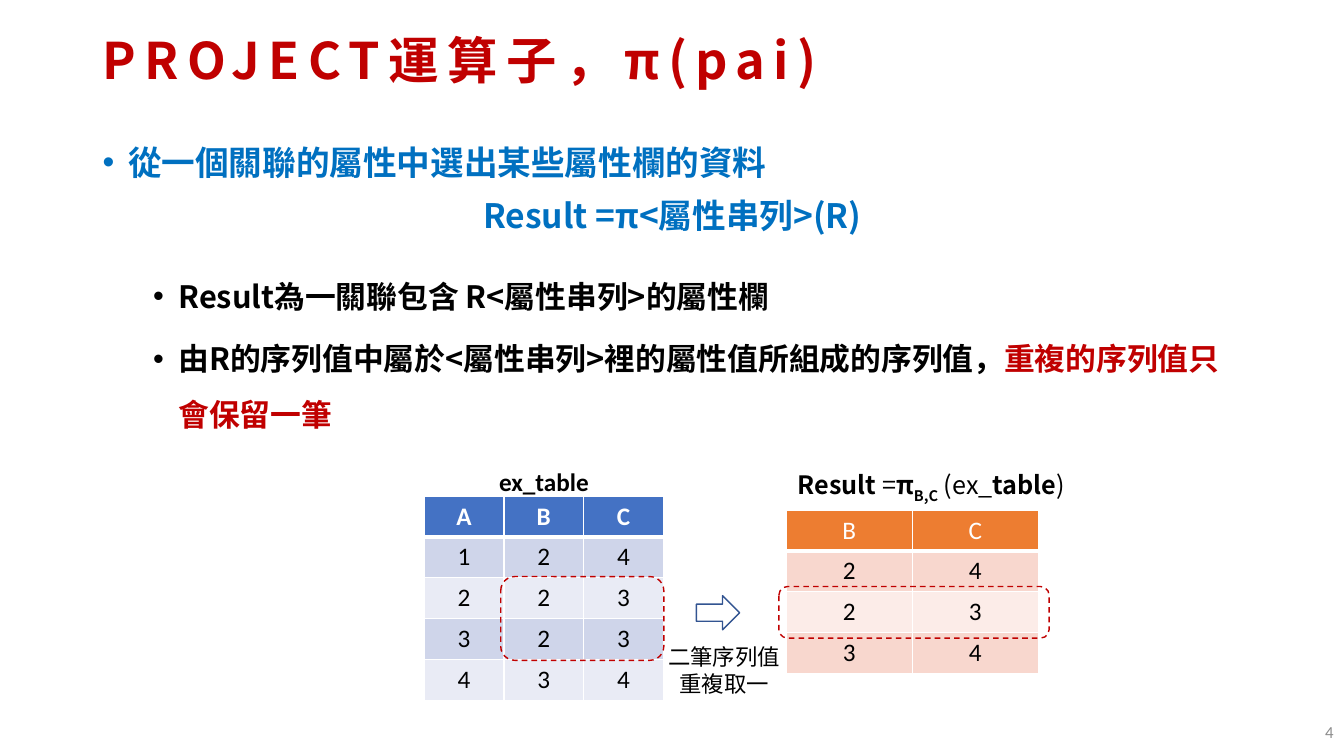
from dataclasses import dataclass, field
from typing import Any

from lxml import etree
from pptx import Presentation
from pptx.dml import color as dml
from pptx.enum import dml as lines, shapes, text
from pptx.oxml import ns
from pptx import util as u

MID = text.PP_ALIGN.CENTER
KIND = shapes.MSO_SHAPE


@dataclass(frozen=True)
class Theme:
    cjk: str = "Noto Sans CJK SC"
    latin: str = "Calibri"
    red: str = "C00000"
    blue: str = "0070C0"
    black: str = "000000"
    white: str = "FFFFFF"
    gray: str = "8C8C8C"
    navy: str = "325491"
    cool: tuple[str, ...] = ("4472C4", "CFD5EA", "E9EBF5")
    warm: tuple[str, ...] = ("ED7D31", "F8D7CE", "FCECE8")
    title: int = 36
    lead: int = 24
    point: int = 22
    label: int = 18
    note: int = 16
    page: int = 12


LOOK = Theme()


@dataclass(frozen=True)
class Run:
    words: str
    size: int
    tint: str = LOOK.black
    bold: bool = False
    face: str = LOOK.cjk
    extra: dict[str, str] = field(default_factory=dict)


@dataclass(frozen=True)
class Para:
    runs: list[Run]
    form: dict[str, Any] = field(default_factory=dict)
    left: float = 0
    dot: bool = False


@dataclass(frozen=True)
class Block:
    area: tuple[float, float, float, float]
    paras: list[Para]
    anchor: Any = text.MSO_ANCHOR.TOP
    wrap: bool = True


@dataclass(frozen=True)
class Grid:
    left: float
    top: float
    wide: float
    high: float
    rows: list[str]
    fills: tuple[str, ...]
    bold: bool


@dataclass(frozen=True)
class Mark:
    kind: Any
    area: tuple[float, float, float, float]
    tint: str
    dash: Any = None


def apply(item: Any, form: dict[str, Any]) -> None:
    for name, value in form.items():
        setattr(item, name, value)


def write(para: Any, plan: Para) -> None:
    props = para._p.get_or_add_pPr()
    if plan.left:
        props.set("marL", str(u.Cm(plan.left)))
        props.set("indent", str(-u.Cm(0.64) if plan.dot else 0))
    if plan.dot:
        etree.SubElement(props, ns.qn("a:buFont"), typeface="Arial")
        etree.SubElement(props, ns.qn("a:buChar"), char="•")
    apply(para, plan.form)
    for part in plan.runs:
        run = para.add_run()
        run.text = part.words
        apply(run.font, {"size": u.Pt(part.size), "bold": part.bold, "name": part.face})
        run.font.color.rgb = dml.RGBColor.from_string(part.tint)
        node = run._r.get_or_add_rPr()
        etree.SubElement(node, ns.qn("a:ea"), typeface=part.face)
        for key, value in part.extra.items():
            node.set(key, value)


def add_block(slide: Any, block: Block) -> None:
    frame = slide.shapes.add_textbox(*map(u.Cm, block.area)).text_frame
    apply(frame, {"word_wrap": block.wrap, "vertical_anchor": block.anchor})
    for num, plan in enumerate(block.paras):
        write(frame.add_paragraph() if num else frame.paragraphs[0], plan)


def add_edge(cell: Any, side: str, width: int) -> None:
    props = cell._tc.get_or_add_tcPr()
    edge = etree.SubElement(props, ns.qn(f"a:ln{side}"), w=str(u.Pt(width)))
    fill = etree.SubElement(edge, ns.qn("a:solidFill"))
    etree.SubElement(fill, ns.qn("a:srgbClr"), val=LOOK.white)


def add_grid(slide: Any, grid: Grid) -> None:
    count, span = len(grid.rows), len(grid.rows[0])
    size = (grid.left, grid.top, grid.wide * span, grid.high * count)
    table = slide.shapes.add_table(count, span, *map(u.Cm, size)).table
    for col in table.columns:
        col.width = u.Cm(grid.wide)
    for r, words in enumerate(grid.rows):
        table.rows[r].height = u.Cm(grid.high)
        head = r == 0
        tint = LOOK.white if head else LOOK.black
        shade = grid.fills[0 if head else 2 - r % 2]
        for c, word in enumerate(words):
            cell = table.cell(r, c)
            for side in "LRTB":
                thick = (head and side == "B") or (r == 1 and side == "T")
                add_edge(cell, side, 3 if thick else 1)
            cell.fill.solid()
            cell.fill.fore_color.rgb = dml.RGBColor.from_string(shade)
            run = Run(word, LOOK.label, tint, head and grid.bold, LOOK.latin)
            write(cell.text_frame.paragraphs[0], Para([run], {"alignment": MID}))


def add_mark(slide: Any, mark: Mark) -> None:
    shape = slide.shapes.add_shape(mark.kind, *map(u.Cm, mark.area))
    shape.shadow.inherit = False
    shape.fill.background()
    shape.line.color.rgb = dml.RGBColor.from_string(mark.tint)
    apply(shape.line, {"width": u.Pt(1), "dash_style": mark.dash})


def lead(words: str) -> Run:
    return Run(words, LOOK.lead, LOOK.blue, True)


def point(words: str, tint: str = LOOK.black) -> Run:
    return Run(words, LOOK.point, tint, True)


def label(words: str, bold: bool = False) -> Run:
    return Run(words, LOOK.label, bold=bold)


ITEM = {"line_spacing": 1.5, "space_before": u.Pt(5)}
TIGHT = {"line_spacing": 0.9}
RULE = TIGHT | {"alignment": MID, "space_before": u.Pt(12), "space_after": u.Pt(12)}
CENTER = text.MSO_ANCHOR.MIDDLE
DASH = lines.MSO_LINE.DASH

BLOCKS = [
    Block((2.34, 0.33, 29.21, 2.54), [
        Para([Run("PROJECT運算子，π(pai)", LOOK.title, LOOK.red, True,
                  extra={"spc": "600"})], TIGHT)], CENTER),
    Block((2.34, 3.56, 29.21, 14.1), [
        Para([lead("從一個關聯的屬性中選出某些屬性欄的資料")], TIGHT, 0.64, True),
        Para([lead("Result =π<屬性串列>(R)")], RULE),
        Para([point("Result為一關聯包含 R<屬性串列>的屬性欄")], ITEM, 1.91, True),
        Para([point("由R的序列值中屬於<屬性串列>裡的屬性值所組成的序列值，"),
              point("重複的序列值只會保留一筆", LOOK.red)], ITEM, 1.91, True)]),
    Block((26.24, 17.93, 7.62, 1.02), [
        Para([Run("4", LOOK.page, LOOK.gray, face=LOOK.latin)],
             {"alignment": text.PP_ALIGN.RIGHT})], CENTER),
    Block((12.29, 11.63, 2.84, 1.02), [
        Para([Run("ex_table", LOOK.label, bold=True, face=LOOK.latin)],
             {"alignment": MID})]),
    Block((18.59, 11.79, 9.37, 0.86), [
        Para([label("Result", True), label(" ="), label("π", True),
              Run("B,C", LOOK.label, bold=True, extra={"baseline": "-25000"}),
              label(" (ex_"), label("table", True), label(")")],
             {"line_spacing": 0.8}, 1.27)]),
    Block((16.59, 16.08, 3.35, 1.63), [
        Para([Run("二筆序列值", LOOK.note)]),
        Para([Run("重複取一", LOOK.note)], {"alignment": MID})], wrap=False),
]
GRIDS = [
    Grid(10.69, 12.5, 2.01, 1.03, ["ABC", "124", "223", "323", "434"], LOOK.cool, True),
    Grid(19.81, 12.85, 3.18, 1.03, ["BC", "24", "23", "34"], LOOK.warm, False),
]
MARKS = [
    Mark(KIND.ROUNDED_RECTANGLE, (12.62, 14.53, 4.11, 2.11), LOOK.red, DASH),
    Mark(KIND.ROUNDED_RECTANGLE, (19.63, 14.78, 6.81, 1.3), LOOK.red, DASH),
    Mark(KIND.RIGHT_ARROW, (17.55, 15.01, 1.09, 0.86), LOOK.navy),
]


def main() -> None:
    deck = Presentation()
    apply(deck, {"slide_width": u.Cm(33.87), "slide_height": u.Cm(19.05)})
    slide = deck.slides.add_slide(deck.slide_layouts[6])
    for grid in GRIDS:
        add_grid(slide, grid)
    for block in BLOCKS:
        add_block(slide, block)
    for mark in MARKS:
        add_mark(slide, mark)
    deck.save("out.pptx")


if __name__ == "__main__":
    main()
